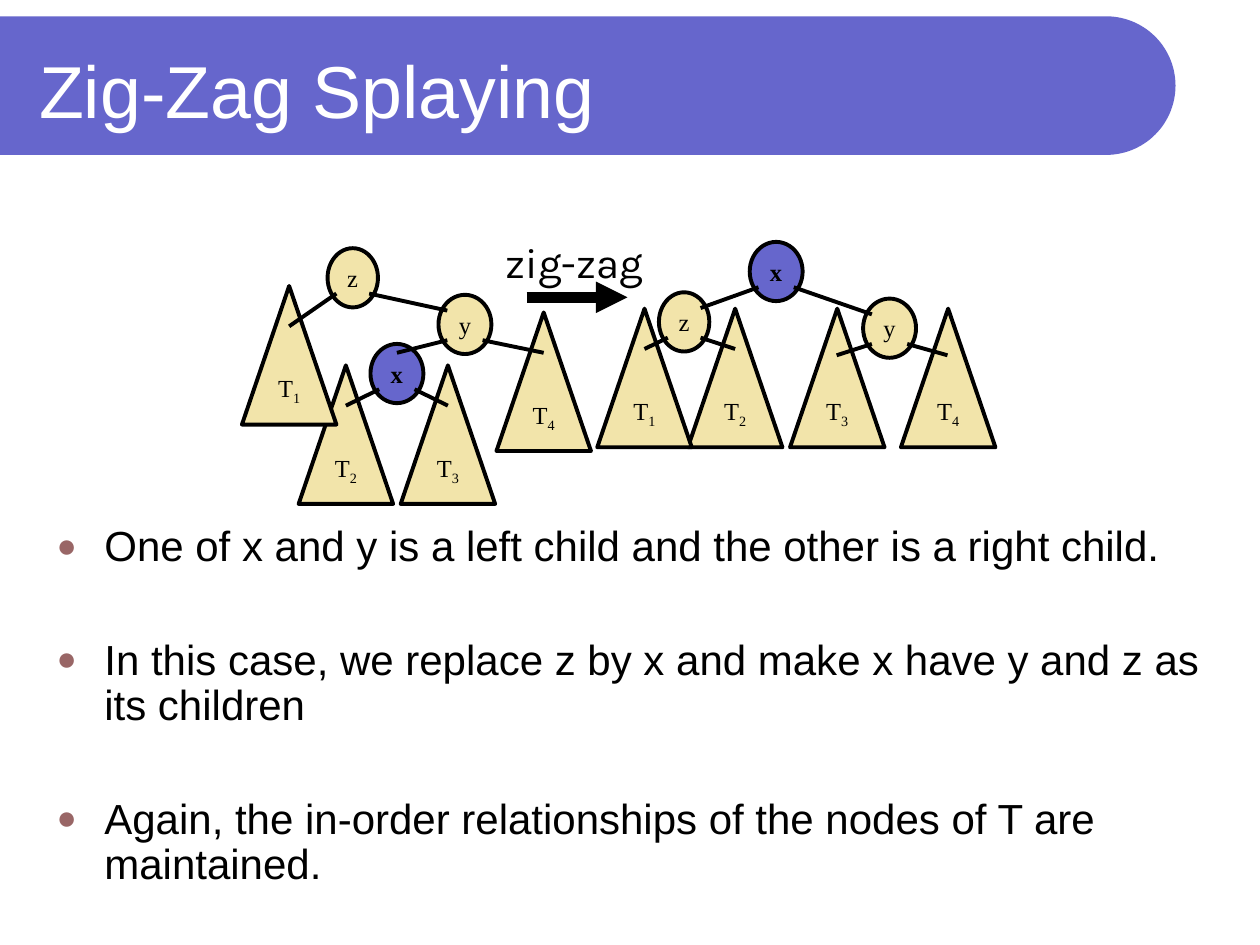
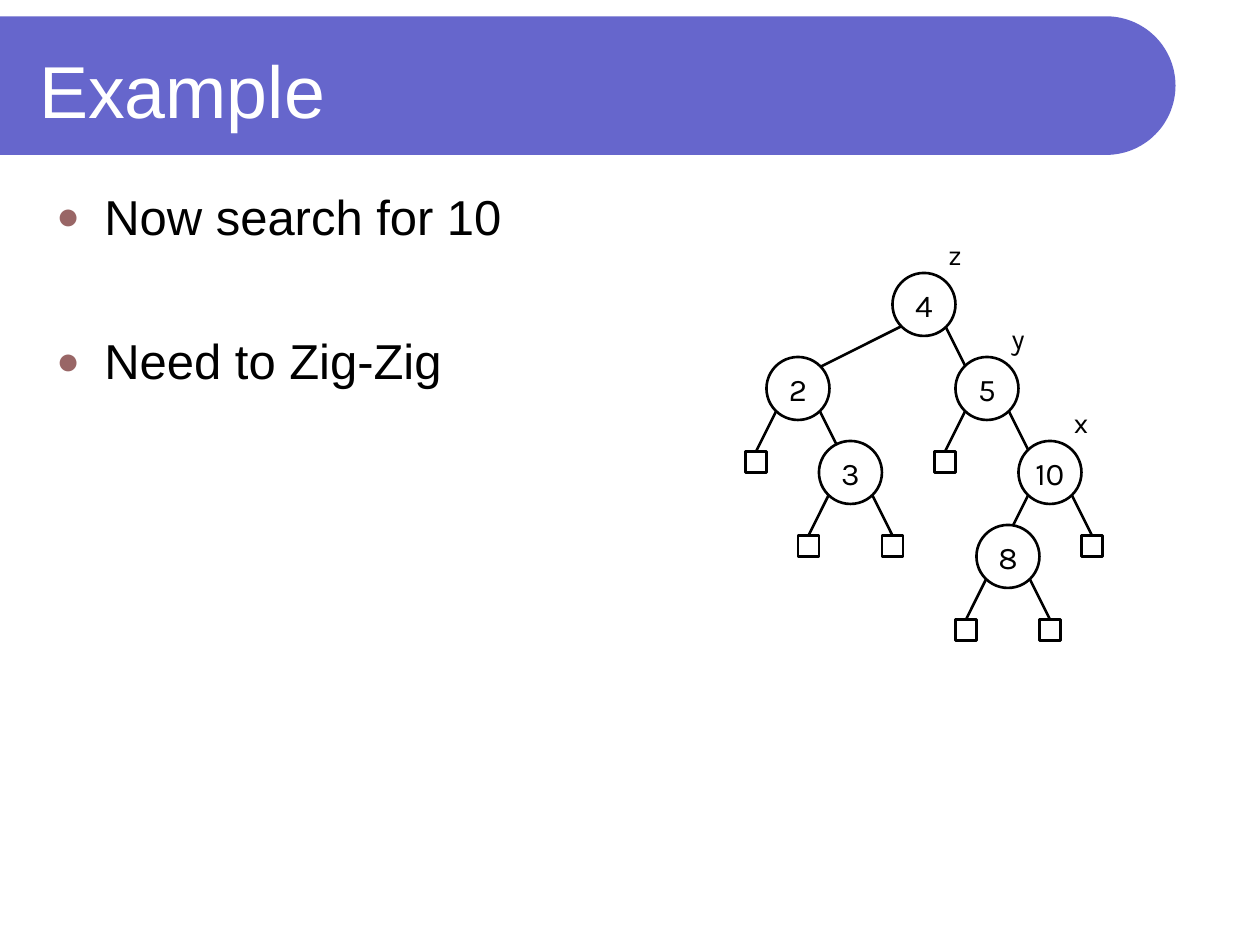
"""Build two slides on splay trees: the zig-zag step and a search example."""
import math
from dataclasses import dataclass
from typing import NamedTuple, Optional

import pptx
import pptx.dml.color
import pptx.enum.shapes
import pptx.enum.text
import pptx.oxml
import pptx.oxml.ns
import pptx.util

SHAPE = pptx.enum.shapes.MSO_SHAPE
ALIGN = pptx.enum.text.PP_ALIGN
ANCHOR = pptx.enum.text.MSO_ANCHOR


@dataclass(frozen=True)
class Theme:
    """Colours, fonts, type sizes and line widths of the deck."""
    accent: str = "6666CC"
    bullet: str = "996666"
    sand: str = "F2E4AA"
    black: str = "000000"
    white: str = "FFFFFF"
    sans: str = "Arial"
    serif: str = "Times New Roman"
    label: str = "Karla"
    title_size: float = 42
    example_size: float = 28
    body_size: float = 24
    number_size: float = 18
    role_size: float = 16
    node_size: float = 14
    heavy_line: float = 2.25
    thin_line: float = 1.5
    arrow_line: float = 6


THEME = Theme()


class Point(NamedTuple):
    """A grid position."""
    column: float
    row: float


class Area(NamedTuple):
    """A grid rectangle."""
    left: float
    top: float
    width: float
    height: float


@dataclass(frozen=True)
class Grid:
    """A square grid with a given number of cells to the inch."""
    cells: int

    def length(self, count: float) -> int:
        """Convert cells to a slide length."""
        return pptx.util.Inches(count / self.cells)

    def lengths(self, values: tuple) -> list[int]:
        """Convert several cell counts at once."""
        return [self.length(value) for value in values]


TENTHS = Grid(10)
TWELFTHS = Grid(12)


class TextStyle(NamedTuple):
    """Font, size, colour and weight of a run."""
    font: str
    size: float
    color: str = THEME.black
    bold: bool = False


TITLE_TEXT = TextStyle(THEME.sans, THEME.title_size, THEME.white)
SERIF_TEXT = TextStyle(THEME.serif, THEME.node_size)
KEY_TEXT = TextStyle(THEME.serif, THEME.node_size, bold=True)
ARROW_TEXT = TextStyle(THEME.label, THEME.body_size)
NUMBER_TEXT = TextStyle(THEME.label, THEME.number_size)
ROLE_TEXT = TextStyle(THEME.label, THEME.role_size)


class Node(NamedTuple):
    """A round tree node with its top left corner."""
    name: str
    left: float
    top: float
    width: float = 4.2
    height: float = 4.7


class Subtree(NamedTuple):
    """A triangular subtree with its number and top left corner."""
    number: int
    left: float
    top: float


class Branch(NamedTuple):
    """An edge from one side of a node to a child or subtree."""
    parent: str
    side: int
    child: str | int
    landing: Optional[Point] = None


@dataclass(frozen=True)
class Tree:
    """A rotation diagram of nodes, subtrees and branches."""
    nodes: tuple[Node, ...]
    subtrees: tuple[Subtree, ...]
    branches: tuple[Branch, ...]


class SearchNode(NamedTuple):
    """A search tree node, its branch reaches, leaf sides and role."""
    key: int
    left: float
    top: float
    reaches: tuple[int, ...]
    leaves: tuple[int, ...] = ()
    role: str = ""


BEFORE = Tree(
    (Node("y", 34.8, 23.4), Node("x", 29.4, 27.3), Node("z", 26, 19.7, 4)),
    (Subtree(2, 23.7, 29), Subtree(3, 31.8, 29), Subtree(4, 39.4, 24.8), Subtree(1, 19.2, 22.7)),
    (Branch("z", -1, 1), Branch("z", 1, "y"), Branch("y", -1, "x", Point(31.5, 28)),
     Branch("y", 1, 4), Branch("x", -1, 2), Branch("x", 1, 3)),
)
AFTER = Tree(
    (Node("y", 68.5, 23.7), Node("x", 59.5, 19.2), Node("z", 52.3, 23.2, 4)),
    (Subtree(2, 54.6, 24.5), Subtree(3, 62.7, 24.5), Subtree(4, 71.5, 24.5), Subtree(1, 47.4, 24.5)),
    (Branch("x", -1, "z"), Branch("x", 1, "y"), Branch("z", -1, 1), Branch("z", 1, 2),
     Branch("y", -1, 3, Point(66.4, 28.2)), Branch("y", 1, 4, Point(75.2, 28.2))),
)
SEARCH_TREE = (
    SearchNode(4, 85, 26, (-8, 2), role="z"),
    SearchNode(2, 73, 34, (-2, 2), (-1,)),
    SearchNode(5, 91, 34, (-2, 2), (-1,), "y"),
    SearchNode(3, 78, 42, (-2, 2), (-1, 1)),
    SearchNode(10, 97, 42, (-2, 2), (1,), "x"),
    SearchNode(8, 93, 50, (-2, 2), (-1, 1)),
)


def rgb(color: str) -> pptx.dml.color.RGBColor:
    """Turn a hex string into a colour."""
    return pptx.dml.color.RGBColor.from_string(color)


def append_element(parent, tag: str, attributes: str = "", content: str = "") -> None:
    """Append a drawing element to an XML parent."""
    namespace = pptx.oxml.ns.nsdecls("a")
    parent.append(pptx.oxml.parse_xml(f"<a:{tag} {namespace} {attributes}>{content}</a:{tag}>"))


def format_run(run, style: TextStyle) -> None:
    """Apply a text style to a run."""
    run.font.name = style.font
    run.font.size = pptx.util.Pt(style.size)
    run.font.bold = style.bold
    run.font.color.rgb = rgb(style.color)


def write_label(shape, text: str, style: TextStyle, subscript: str = "", anchor=ANCHOR.MIDDLE) -> None:
    """Centre a short label, with an optional subscript, in a shape."""
    frame = shape.text_frame
    frame.word_wrap = False
    frame.vertical_anchor = anchor
    paragraph = frame.paragraphs[0]
    paragraph.text = text
    paragraph.alignment = ALIGN.CENTER
    if subscript:
        run = paragraph.add_run()
        run.text = subscript
        run.font._element.set("baseline", "-25000")
    for run in paragraph.runs:
        format_run(run, style)


def add_figure(slide, grid: Grid, preset, area: Area, fill: Optional[str], width: float):
    """Add an outlined preset shape."""
    shape = slide.shapes.add_shape(preset, *grid.lengths(area))
    shape.shadow.inherit = False
    if fill:
        shape.fill.solid()
        shape.fill.fore_color.rgb = rgb(fill)
    else:
        shape.fill.background()
    shape.line.color.rgb = rgb(THEME.black)
    shape.line.width = pptx.util.Pt(width)
    return shape


def add_line(slide, grid: Grid, start: Point, end: Point, width: float, arrow: bool = False) -> None:
    """Add a straight black line, with an arrowhead if wanted."""
    line = slide.shapes.add_connector(pptx.enum.shapes.MSO_CONNECTOR.STRAIGHT, *grid.lengths(start + end))
    line.line.color.rgb = rgb(THEME.black)
    line.line.width = pptx.util.Pt(width)
    properties = line._element.spPr
    append_element(properties, "effectLst")
    if arrow:
        append_element(properties.find(pptx.oxml.ns.qn("a:ln")), "tailEnd", 'type="triangle"')


def add_text(slide, grid: Grid, area: Area, text: str, style: TextStyle, anchor=ANCHOR.MIDDLE) -> None:
    """Add a centred free-standing label."""
    box = slide.shapes.add_textbox(*grid.lengths(area))
    write_label(box, text, style, anchor=anchor)


def add_title_slide(presentation, title: str):
    """Add a slide with the rounded band and its title."""
    slide = presentation.slides.add_slide(presentation.slide_layouts[5])
    placeholder = slide.shapes.title
    radius, center = 5.5, Point(87.8, 6.8)
    angles = [math.radians(degrees) for degrees in range(-90, 91, 3)]
    arc = [Point(center.column + radius * math.cos(angle), center.row + radius * math.sin(angle))
           for angle in angles]
    outline = [TENTHS.lengths(point) for point in (*arc, Point(0, center.row + radius))]
    builder = slide.shapes.build_freeform(0, TENTHS.length(center.row - radius))
    builder.add_line_segments(outline, close=True)
    band = builder.convert_to_shape()
    band.shadow.inherit = False
    band.fill.solid()
    band.fill.fore_color.rgb = rgb(THEME.accent)
    band.line.fill.background()
    placeholder._element.addprevious(band._element)
    placeholder.left, placeholder.top, placeholder.width, placeholder.height = TENTHS.lengths(
        Area(2.1, 2.1, 87.7, 10))
    frame = placeholder.text_frame
    frame.text = title
    frame.auto_size = pptx.enum.text.MSO_AUTO_SIZE.NONE
    frame.vertical_anchor = ANCHOR.MIDDLE
    frame.paragraphs[0].alignment = ALIGN.LEFT
    format_run(frame.paragraphs[0].runs[0], TITLE_TEXT)
    return slide


def add_bullets(slide, area: Area, lines: tuple[str, ...], size: float, gap: float, spacing: float) -> None:
    """Add a bulleted list with a gap between its items."""
    frame = slide.shapes.add_textbox(*TENTHS.lengths(area)).text_frame
    frame.word_wrap = True
    frame.text = "\n".join(lines)
    indent = TENTHS.length(3.8)
    for index, paragraph in enumerate(frame.paragraphs):
        paragraph.line_spacing = spacing
        paragraph.space_before = pptx.util.Pt(gap if index else 0)
        properties = paragraph._p.get_or_add_pPr()
        properties.set("marL", str(indent))
        properties.set("indent", str(-indent))
        append_element(properties, "buClr", content=f'<a:srgbClr val="{THEME.bullet}"/>')
        append_element(properties, "buSzPct", 'val="80000"')
        append_element(properties, "buFont", f'typeface="{THEME.sans}"')
        append_element(properties, "buChar", 'char="●"')
        format_run(paragraph.runs[0], TextStyle(THEME.sans, size))


def side_point(node: Node, side: int, drop: float) -> Point:
    """Find a point just inside the left or right side of a node."""
    inset = 0.7
    return Point(node.left + (inset if side < 0 else node.width - inset), node.top + drop)


def draw_tree(slide, tree: Tree) -> None:
    """Draw a rotation diagram with its branches on top."""
    nodes = {node.name: node for node in tree.nodes}
    subtrees = {subtree.number: subtree for subtree in tree.subtrees}
    for node in tree.nodes:
        key = node.name == "x"
        shape = add_figure(slide, TENTHS, SHAPE.OVAL, Area(*node[1:]),
                           THEME.accent if key else THEME.sand, THEME.heavy_line)
        write_label(shape, node.name, KEY_TEXT if key else SERIF_TEXT)
    for subtree in tree.subtrees:
        shape = add_figure(slide, TENTHS, SHAPE.ISOSCELES_TRIANGLE,
                           Area(subtree.left, subtree.top, 7.5, 11), THEME.sand, THEME.heavy_line)
        write_label(shape, "T", SERIF_TEXT, str(subtree.number))
    for branch in tree.branches:
        start = side_point(nodes[branch.parent], branch.side, 3.6)
        if branch.landing:
            end = branch.landing
        elif branch.child in nodes:
            end = side_point(nodes[branch.child], -branch.side, 1.25)
        else:
            subtree = subtrees[branch.child]
            end = Point(subtree.left + 3.75, subtree.top + 3.2)
        add_line(slide, TENTHS, start, end, THEME.heavy_line)


def draw_search_tree(slide, nodes: tuple[SearchNode, ...]) -> None:
    """Draw the branches, then the numbered nodes, leaves and roles."""
    for node in nodes:
        for side, reach in zip((1, 5), node.reaches):
            start = Point(node.left + side, node.top + 5)
            add_line(slide, TWELFTHS, start, Point(start.column + reach, start.row + 4), THEME.thin_line)
    for node in nodes:
        shape = add_figure(slide, TWELFTHS, SHAPE.OVAL, Area(node.left, node.top, 6, 6),
                           THEME.white, THEME.thin_line)
        write_label(shape, str(node.key), NUMBER_TEXT)
        for side in node.leaves:
            add_figure(slide, TWELFTHS, SHAPE.RECTANGLE,
                       Area(node.left + 2 + 4 * side, node.top + 9, 2, 2), None, THEME.thin_line)
        if node.role:
            add_text(slide, TWELFTHS, Area(node.left + 4.1, node.top - 4, 3.7, 4.4),
                     node.role, ROLE_TEXT, ANCHOR.TOP)


def main() -> None:
    """Build and save the slides."""
    presentation = pptx.Presentation()
    presentation.slide_width, presentation.slide_height = TENTHS.lengths((100, 75))
    splaying = add_title_slide(presentation, "Zig-Zag Splaying")
    add_bullets(splaying, Area(3.5, 41.2, 92.9, 30.2), (
        "One of x and y is a left child and the other is a right child.",
        "In this case, we replace z by x and make x have y and z as its children",
        "Again, the in-order relationships of the nodes of T are maintained.",
    ), THEME.body_size, 39, 0.9)
    draw_tree(splaying, BEFORE)
    draw_tree(splaying, AFTER)
    add_text(splaying, TENTHS, Area(39.1, 18.3, 13, 5), "zig-zag", ARROW_TEXT)
    add_line(splaying, TENTHS, Point(41.8, 23.6), Point(49.8, 23.6), THEME.arrow_line, arrow=True)
    example = add_title_slide(presentation, "Example")
    add_bullets(example, Area(3.5, 14.3, 45.6, 57.1), ("Now search for 10", "Need to Zig-Zig"),
                THEME.example_size, 49, 1)
    draw_search_tree(example, SEARCH_TREE)
    presentation.save("out.pptx")


if __name__ == "__main__":
    main()
